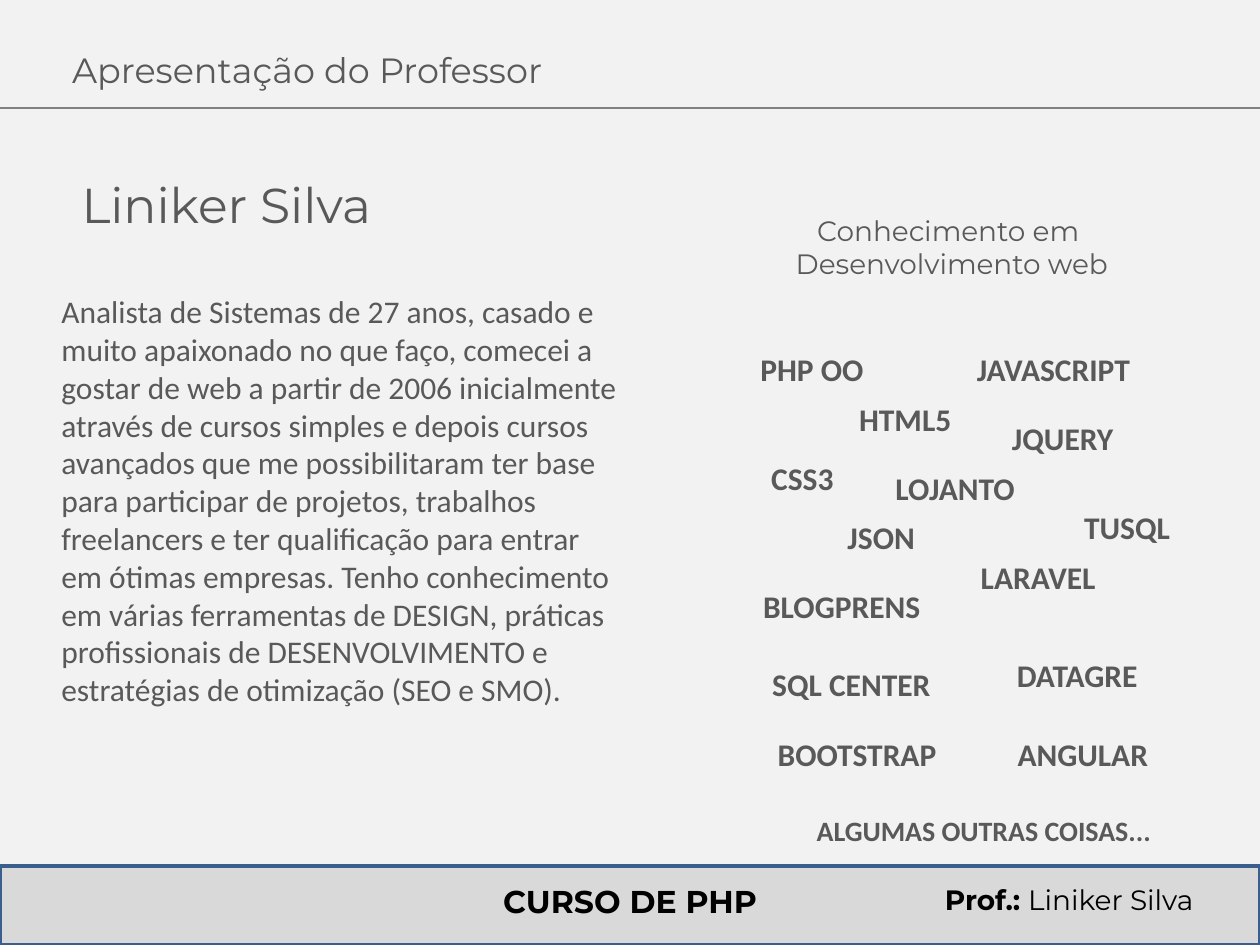
from lxml import etree
from pptx import Presentation
from pptx.dml.color import RGBColor
from pptx.enum import shapes, text
from pptx.oxml.ns import qn
from pptx.util import Pt

GRAY = "595959"
BLACK = "000000"
HEADING = "Montserrat"
BODY = "Calibri"
LEFT, CENTER = text.PP_ALIGN.LEFT, text.PP_ALIGN.CENTER
MIDDLE, TOP = text.MSO_ANCHOR.MIDDLE, text.MSO_ANCHOR.TOP


def color(value):
    return RGBColor.from_string(value)


def write(shape, paragraphs, size, font, ink=GRAY, align=LEFT, anchor=TOP, wrap=True):
    """Fill a shape with paragraphs, each a list of (wording, bold) runs."""
    frame = shape.text_frame
    frame.word_wrap = wrap
    frame.vertical_anchor = anchor
    for index, runs in enumerate(paragraphs):
        paragraph = frame.add_paragraph() if index else frame.paragraphs[0]
        paragraph.alignment = align
        for wording, bold in runs:
            run = paragraph.add_run()
            run.text = wording
            run.font.name = font
            run.font.size = Pt(size)
            run.font.bold = bold
            run.font.color.rgb = color(ink)


presentation = Presentation()
presentation.slide_width, presentation.slide_height = Pt(720), Pt(540)
slide = presentation.slides.add_slide(presentation.slide_layouts[5])
slide.background.fill.solid()
slide.background.fill.fore_color.rgb = color("F2F2F2")

# Title and the rule under it
title = slide.shapes.title
title.left, title.top, title.width, title.height = Pt(34), Pt(22.5), Pt(484), Pt(34)
write(title, [[("Apresentação do Professor", False)]], 20, HEADING, anchor=MIDDLE)

rule = slide.shapes.add_connector(
    shapes.MSO_CONNECTOR.STRAIGHT, Pt(0), Pt(61.75), Pt(720), Pt(61.75))
rule.line.color.rgb = color("808080")
rule.line.width = Pt(0.75)
etree.SubElement(rule._element.spPr, qn("a:effectLst"))

# Footer band
footer = slide.shapes.add_shape(
    shapes.MSO_SHAPE.RECTANGLE, Pt(0), Pt(495), Pt(720), Pt(45))
footer.shadow.inherit = False
footer.fill.solid()
footer.fill.fore_color.rgb = color("D9D9D9")
footer.line.color.rgb = color("3A5F8C")
footer.line.width = Pt(2)

course = slide.shapes.add_textbox(Pt(276.5), Pt(500.5), Pt(167), Pt(29))
write(course, [[("CURSO DE PHP", True)]], 18, HEADING, BLACK, CENTER, MIDDLE, wrap=False)

teacher = slide.shapes.add_textbox(Pt(523.5), Pt(500.5), Pt(175), Pt(26.5))
write(teacher, [[("Prof.: ", True), ("Liniker Silva", False)]],
      16, HEADING, BLACK, CENTER, MIDDLE, wrap=False)

# Teacher's name and biography
name = slide.shapes.add_textbox(Pt(39.5), Pt(96), Pt(286.5), Pt(41))
write(name, [[("Liniker Silva", False)]], 28, HEADING, anchor=MIDDLE)

biography = slide.shapes.add_textbox(Pt(28), Pt(163.5), Pt(332), Pt(269))
write(biography, [[(
    "Analista de Sistemas de 27 anos, casado e muito apaixonado no que faço, "
    "comecei a gostar de web a partir de 2006 inicialmente através de cursos "
    "simples e depois cursos avançados que me possibilitaram ter base para "
    "participar de projetos, trabalhos freelancers e ter qualificação para "
    "entrar em ótimas empresas. Tenho conhecimento em várias ferramentas de "
    "DESIGN, práticas profissionais de DESENVOLVIMENTO e estratégias de "
    "otimização (SEO e SMO).", False)]], 18, BODY)

# Skills heading
heading = slide.shapes.add_textbox(Pt(394), Pt(118), Pt(300), Pt(46))
write(heading, [[("Conhecimento em ", False)], [("Desenvolvimento web", False)]],
      16, HEADING, align=CENTER, anchor=MIDDLE)

# Scattered skills: wording, left, top, width, text size
skills = [
    ("PHP OO", 422, 196.5, 84, 18),
    ("JAVASCRIPT", 540, 196.5, 124, 18),
    ("HTML5", 478, 224.75, 78.5, 18),
    ("CSS3", 427.5, 258.5, 62, 18),
    ("JQUERY", 568, 236, 78.5, 18),
    ("LOJANTO", 489.5, 264.25, 112.5, 18),
    ("LARAVEL", 534.25, 315.25, 118, 18),
    ("JSON", 472.5, 292.25, 62, 18),
    ("BLOGPRENS", 422, 332, 118, 18),
    ("TUSQL", 596, 286.5, 96, 18),
    ("SQL CENTER", 427.5, 376.5, 118, 18),
    ("DATAGRE", 556.5, 371.5, 118, 18),
    ("ANGULAR", 568, 416.25, 101.5, 18),
    ("BOOTSTRAP", 433.5, 416.25, 112.5, 18),
    ("ALGUMAS OUTRAS COISAS...", 444.25, 461.5, 236, 16),
]
for wording, left, top, width, size in skills:
    skill = slide.shapes.add_textbox(Pt(left), Pt(top), Pt(width), Pt(29))
    write(skill, [[(wording, True)]], size, BODY, align=CENTER)

presentation.save("out.pptx")
